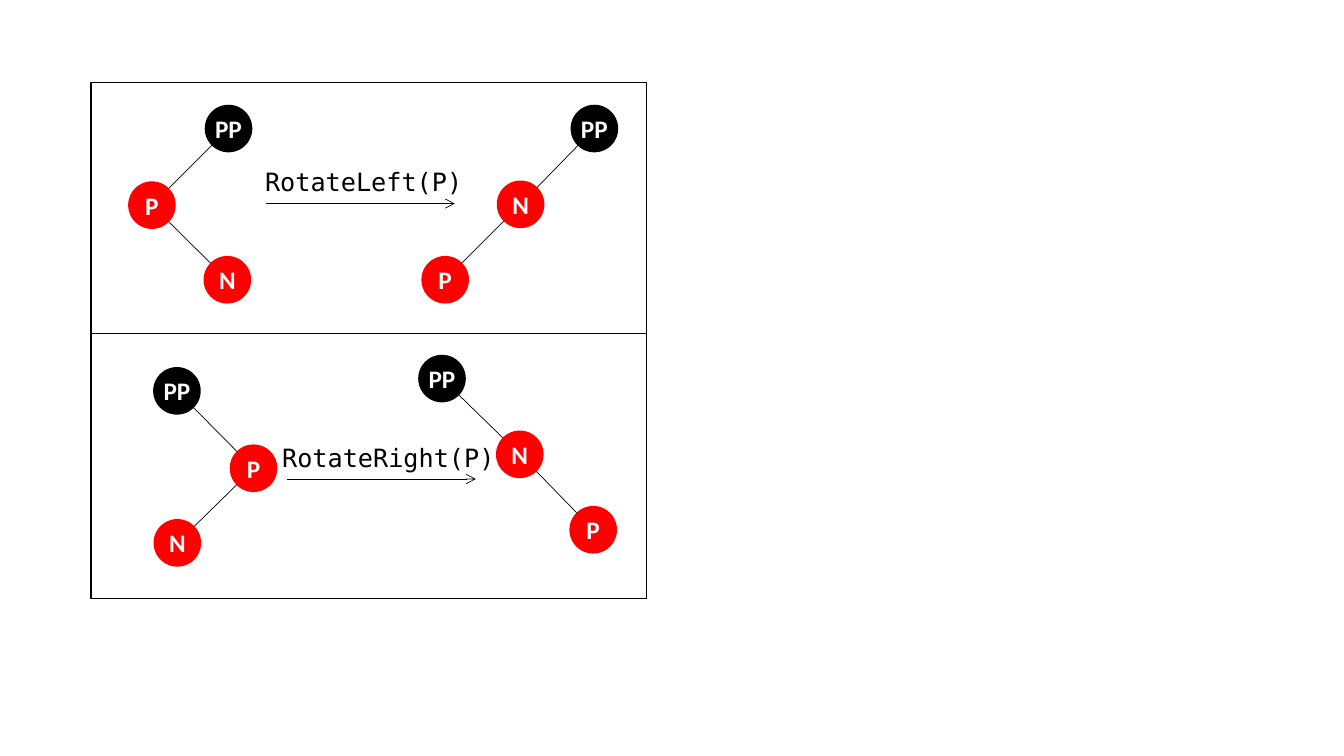
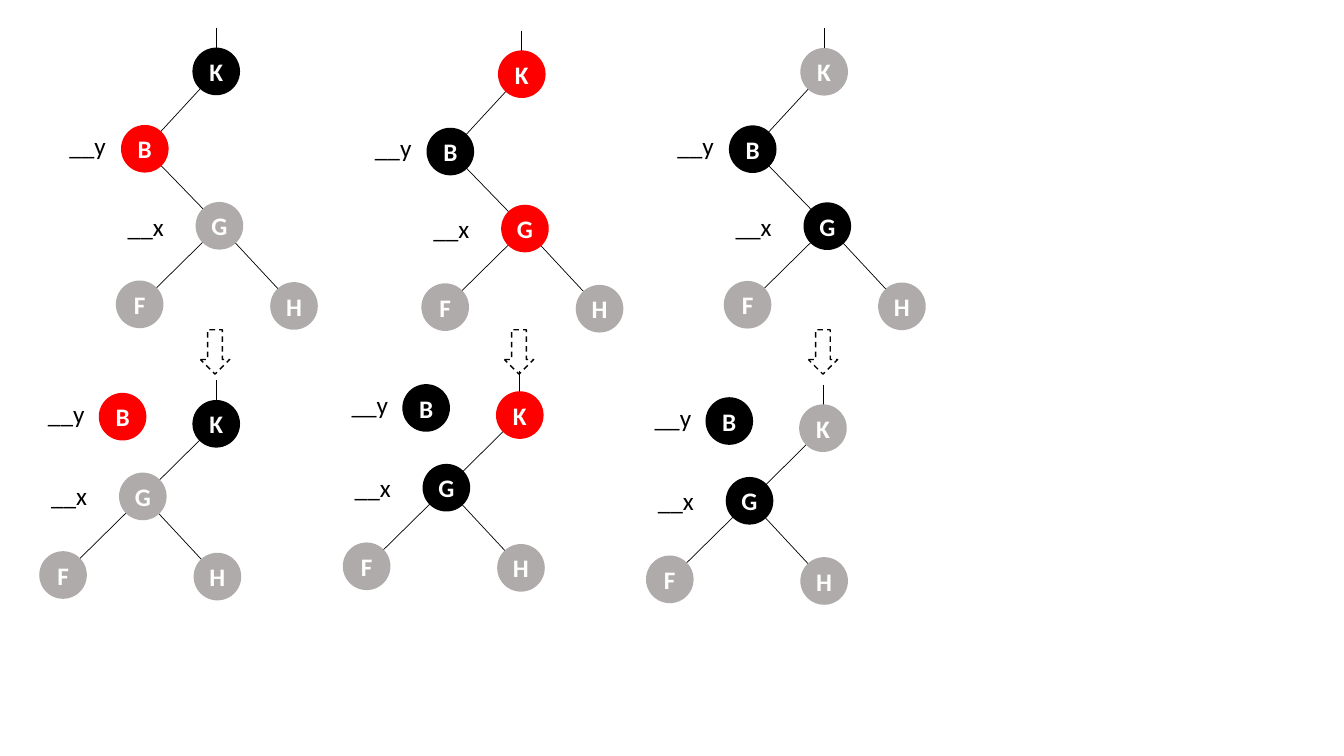
"""Builds two slides of red-black tree rotation diagrams."""
from lxml.etree import SubElement
from pptx import Presentation
from pptx.dml.color import RGBColor
from pptx.enum.dml import MSO_LINE
from pptx.enum.shapes import MSO_CONNECTOR, MSO_SHAPE
from pptx.enum.text import MSO_ANCHOR, MSO_AUTO_SIZE, PP_ALIGN
from pptx.oxml.ns import qn
from pptx.util import Cm, Pt

BLACK, RED, GREY, WHITE = "000000", "FF0000", "AFABAB", "FFFFFF"
SANS, MONO = "Calibri", "DejaVu Sans Mono"
NODE, STEM = 1.2, 1.1

FRAME = (2.29, 2.08, 14, 13)
SPLIT = 8.41
CHAINS = [
    [("PP", 5.16, 2.64), ("P", 3.23, 4.57), ("N", 5.13, 6.45)],
    [("PP", 14.38, 2.64), ("N", 12.52, 4.55), ("P", 10.62, 6.45)],
    [("PP", 3.86, 9.25), ("P", 5.79, 11.2), ("N", 3.87, 13.08)],
    [("PP", 10.54, 8.94), ("N", 12.5, 10.85), ("P", 14.35, 12.75)],
]
CALLS = [
    ("RotateLeft(P)", (6.43, 4.24, 5.56, 0.92), (6.71, 5.13)),
    ("RotateRight(P)", (6.86, 11.18, 5.92, 0.92), (7.24, 12.07)),
]
REACH = 4.75

BEFORE = {
    "nodes": {"K": (0, 0), "B": (-1.8, 1.95), "G": (0.08, 3.89),
              "F": (-1.93, 5.87), "H": (1.96, 5.91)},
    "edges": ["KB", "BG", "GF", "GH"],
    "marks": {"__x": (-1.88, 3.99), "__y": (-3.35, 1.95)},
}
AFTER = {
    "nodes": {"K": (0, 0), "B": (-2.36, -0.18), "G": (-1.85, 1.83),
              "F": (-3.86, 3.81), "H": (0.03, 3.85)},
    "edges": ["KG", "GF", "GH"],
    "marks": {"__x": (-3.81, 1.91), "__y": (-3.89, -0.18)},
}
TREES = [
    (BEFORE, (4.85, 1.2), (BLACK, RED, GREY)),
    (BEFORE, (12.55, 1.27), (RED, BLACK, RED)),
    (BEFORE, (20.17, 1.21), (GREY, BLACK, BLACK)),
    (AFTER, (4.85, 10.08), (BLACK, RED, GREY)),
    (AFTER, (12.5, 9.86), (RED, BLACK, BLACK)),
    (AFTER, (20.14, 10.19), (GREY, BLACK, BLACK)),
]
ARROW = (5.05, 8.31, 0.74, 1.12)
PITCH = 7.66


def paint(target, color):
    target.solid()
    target.fore_color.rgb = RGBColor.from_string(color)


def style(para, font, color, bold=False):
    para.font.name, para.font.size, para.font.bold = font, Pt(18), bold
    para.font.color.rgb = RGBColor.from_string(color)


def line(slide, start, end, arrow=False):
    wire = slide.shapes.add_connector(
        MSO_CONNECTOR.STRAIGHT, *map(Cm, start + end))
    paint(wire.line.fill, BLACK)
    wire.line.width = Pt(0.5)
    props = wire._element.spPr
    if arrow:
        SubElement(props.find(qn("a:ln")), qn("a:tailEnd"), type="arrow")
    SubElement(props, qn("a:effectLst"))


def outline(slide, kind, box, dash=None):
    shape = slide.shapes.add_shape(kind, *map(Cm, box))
    shape.shadow.inherit = False
    shape.fill.background()
    paint(shape.line.fill, BLACK)
    shape.line.width = Pt(1)
    if dash:
        shape.line.dash_style = dash


def node(slide, text, spot, color):
    disc = slide.shapes.add_shape(
        MSO_SHAPE.OVAL, *map(Cm, (*spot, NODE, NODE)))
    disc.shadow.inherit = False
    paint(disc.fill, color)
    disc.line.fill.background()
    frame = disc.text_frame
    frame.margin_left = frame.margin_right = 0
    frame.margin_top = frame.margin_bottom = 0
    frame.vertical_anchor = MSO_ANCHOR.MIDDLE
    frame.text = text
    para = frame.paragraphs[0]
    para.alignment = PP_ALIGN.CENTER
    style(para, SANS, WHITE, True)


def label(slide, text, box, font):
    frame = slide.shapes.add_textbox(*map(Cm, box)).text_frame
    frame.word_wrap = True
    frame.auto_size = MSO_AUTO_SIZE.SHAPE_TO_FIT_TEXT
    frame.text = text
    style(frame.paragraphs[0], font, BLACK)
    return frame


def middle(spot):
    return tuple(value + NODE / 2 for value in spot)


def chain(slide, items):
    spots = [spot for _, *spot in items]
    for upper, lower in zip(spots, spots[1:]):
        line(slide, middle(upper), middle(lower))
    for text, *spot in items:
        node(slide, text, spot, BLACK if text == "PP" else RED)


def tree(slide, form, root, tones):
    def place(shift):
        return root[0] + shift[0], root[1] + shift[1]

    spots = {key: place(shift) for key, shift in form["nodes"].items()}
    left, top = middle(root)
    line(slide, (left, top - STEM), (left, top))
    for upper, lower in form["edges"]:
        line(slide, middle(spots[upper]), middle(spots[lower]))
    colors = dict(zip("KBG", tones))
    for key, spot in spots.items():
        node(slide, key, spot, colors.get(key, GREY))
    for text, shift in form["marks"].items():
        label(slide, text, (*place(shift), 1.68, 1.02), SANS)


def rotate(slide):
    for items in CHAINS:
        chain(slide, items)
    left, _, width, _ = FRAME
    line(slide, (left, SPLIT), (left + width, SPLIT))
    outline(slide, MSO_SHAPE.RECTANGLE, FRAME)
    for text, box, (x, y) in CALLS:
        line(slide, (x, y), (x + REACH, y), True)
        frame = label(slide, text, box, MONO)
        frame.vertical_anchor = MSO_ANCHOR.MIDDLE
        frame.paragraphs[0].line_spacing = Pt(15)


def remove(slide):
    for form, root, tones in TREES:
        tree(slide, form, root, tones)
    left, *rest = ARROW
    for col in range(3):
        outline(slide, MSO_SHAPE.DOWN_ARROW,
                (left + col * PITCH, *rest), MSO_LINE.DASH)


def main():
    deck = Presentation()
    deck.slide_width, deck.slide_height = Cm(33.87), Cm(19.05)
    for draw in (rotate, remove):
        draw(deck.slides.add_slide(deck.slide_layouts[6]))
    deck.save("out.pptx")


if __name__ == "__main__":
    main()
